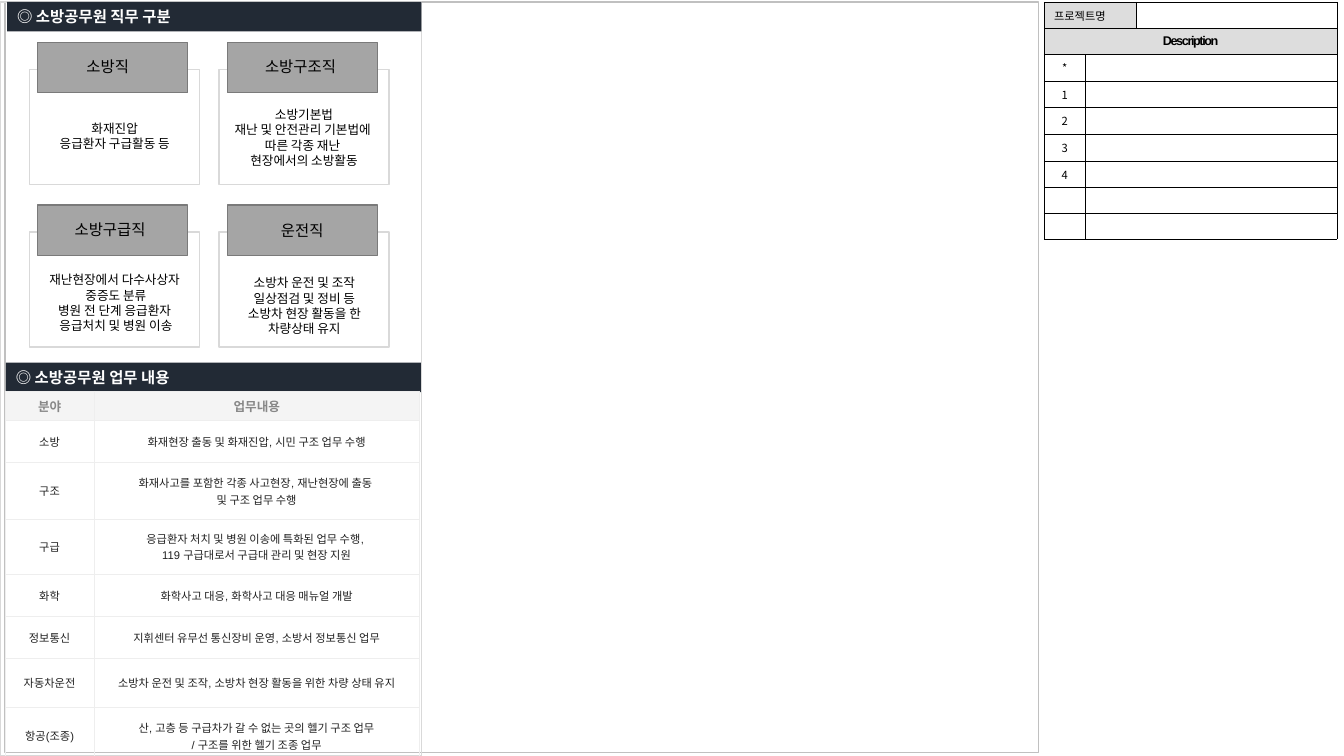
from lxml.etree import SubElement
from pptx import Presentation
from pptx.dml.color import RGBColor
from pptx.enum.shapes import MSO_SHAPE
from pptx.enum.text import MSO_ANCHOR, PP_ALIGN
from pptx.oxml.ns import qn
from pptx.util import Cm, Pt

KOREAN = "Noto Sans CJK KR"
LATIN = "Arial"

CARDS = [
    ("소방직", (1.93, 1.3), (0.53, 2.92, 4.72, 1.02),
     ["화재진압", "응급환자 구급활동 등"]),
    ("소방구조직", (6.43, 1.3), (4.98, 2.57, 5.36, 1.8),
     ["소방기본법", "재난 및 안전관리 기본법에 ", "따른 각종 재난 ", "현장에서의 소방활동"]),
    ("소방구급직", (1.63, 5.41), (0.33, 6.73, 5.18, 1.8),
     ["재난현장에서 다수사상자 ", "중증도 분류", "병원 전 단계 응급환자 ", "응급처치 및 병원 이송"]),
    ("운전직", (6.83, 5.44), (5.31, 6.81, 4.72, 1.8),
     ["소방차 운전 및 조작", "일상점검 및 정비 등", "소방차 현장 활동을 한", "차량상태 유지"]),
]

DUTIES = [
    ("소방", ["화재현장 출동 및 화재진압, 시민 구조 업무 수행"]),
    ("구조", ["화재사고를 포함한 각종 사고현장, 재난현장에 출동 ", "및 구조 업무 수행"]),
    ("구급", ["응급환자 처치 및 병원 이송에 특화된 업무 수행, ",
            "119 구급대로서 구급대 관리 및 현장 지원"]),
    ("화학", ["화학사고 대응, 화학사고 대응 매뉴얼 개발"]),
    ("정보통신", ["지휘센터 유무선 통신장비 운영, 소방서 정보통신 업무"]),
    ("자동차운전", ["소방차 운전 및 조작, 소방차 현장 활동을 위한 차량 상태 유지"]),
    ("항공(조종)", ["산, 고층 등 구급차가 갈 수 없는 곳의 헬기 구조 업무",
                "/ 구조를 위한 헬기 조종 업무"]),
]


def rgb(value):
    """Turn a hex string into a colour."""
    return RGBColor.from_string(value)


class Painter:
    """Draw styled elements on the current slide."""

    def __init__(self, page):
        """Keep the slide to draw on."""
        self.page = page

    def fill_text(self, frame, lines, size, color="000000", bold=False, align=PP_ALIGN.CENTER,
                  latin=KOREAN, leading=None, tracking=0):
        """Fill a text frame with formatted paragraphs."""
        frame.text = "\n".join(lines)
        for para in frame.paragraphs:
            para.alignment = align
            if leading:
                para.line_spacing = Pt(round(size * leading, 1))
            for span in para.runs:
                span.font.size = Pt(size)
                span.font.bold = bold
                span.font.name = latin
                span.font.color.rgb = rgb(color)
                properties = span._r.get_or_add_rPr()
                SubElement(properties, qn("a:ea"), typeface=KOREAN)
                if tracking:
                    properties.set("spc", str(tracking))
            if not para.runs:
                SubElement(para._p, qn("a:endParaRPr"), sz=str(size * 100))

    def box(self, left, top, width, height, fill=None, line=None):
        """Draw a rectangle."""
        shape = self.page.shapes.add_shape(
            MSO_SHAPE.RECTANGLE, Cm(left), Cm(top), Cm(width), Cm(height))
        shape.shadow.inherit = False
        if fill:
            shape.fill.solid()
            shape.fill.fore_color.rgb = rgb(fill)
        else:
            shape.fill.background()
        if line:
            shape.line.color.rgb = rgb(line)
            shape.line.width = Pt(1)
        else:
            shape.line.fill.background()
        return shape

    def bar(self, left, top, width, title):
        """Draw a dark section heading."""
        frame = self.box(left, top, width, 0.74, fill="222A35").text_frame
        frame.vertical_anchor = MSO_ANCHOR.MIDDLE
        self.fill_text(frame, [title], 11, "FFFFFF", True, PP_ALIGN.LEFT, leading=1.21)

    def text(self, left, top, width, height, lines, size, align):
        """Place a text box."""
        frame = self.page.shapes.add_textbox(
            Cm(left), Cm(top), Cm(width), Cm(height)).text_frame
        frame.word_wrap = True
        self.fill_text(frame, lines, size, align=align, leading=1.21)

    def table(self, left, top, widths, heights):
        """Add an unstyled table with the given grid."""
        table = self.page.shapes.add_table(
            len(heights), len(widths), Cm(left), Cm(top),
            Cm(sum(widths)), Cm(sum(heights))).table
        table.first_row = table.horz_banding = False
        for column, width in zip(table.columns, widths):
            column.width = Cm(width)
        for row, height in zip(table.rows, heights):
            row.height = Cm(height)
        return table

    def cell(self, cell, lines, size, border, weight, fill=None, inset=None, **style):
        """Format one table cell with its borders, fill and text."""
        cell.vertical_anchor = MSO_ANCHOR.MIDDLE
        if inset:
            cell.margin_left = cell.margin_right = Cm(inset[0])
            cell.margin_top = cell.margin_bottom = Cm(inset[1])
        properties = cell._tc.get_or_add_tcPr()
        for side in ("lnL", "lnR", "lnT", "lnB"):
            edge = SubElement(properties, qn(f"a:{side}"), w=str(Pt(weight)))
            SubElement(SubElement(edge, qn("a:solidFill")), qn("a:srgbClr"), val=border)
        if fill:
            cell.fill.solid()
            cell.fill.fore_color.rgb = rgb(fill)
        else:
            cell.fill.background()
        self.fill_text(cell.text_frame, lines, size, **style)


def draw_description(painter):
    """Draw the project and description table."""
    table = painter.table(26.31, 0.05, [1.04, 1.27, 5.08], [0.64] + [0.65] * 8)
    labels = ["프로젝트명", "Description", "*", "1", "2", "3", "4", "", ""]
    for index, label in enumerate(labels):
        heading = index < 2
        style = {"inset": None if heading else (0.1, 0.13)}
        if index == 0:
            style["align"] = PP_ALIGN.LEFT
        if index == 1:
            style.update(bold=True, latin=LATIN, tracking=-100)
        for column in range(3):
            fill = "DDDDDD" if heading and (column < 2 or index == 1) else "FFFFFF"
            painter.cell(table.cell(index, column), [label if column == 0 else ""],
                         9 if index == 1 else 8, "000000", 0.25, fill, **style)
        first, last = [(0, 1), (0, 2)][index] if heading else (1, 2)
        table.cell(index, first).merge(table.cell(index, last))


def draw_duties(painter):
    """Draw the table of duties by field."""
    heights = [0.74, 1.06, 1.42, 1.4, 1.06, 1.06, 1.22, 1.45]
    table = painter.table(0.13, 9.86, [2.24, 8.2], heights)
    for column, label in enumerate(["분야", "업무내용"]):
        painter.cell(table.cell(0, column), [label], 9, "EEEEEE", 0.75, "F4F4F4",
                     (0.18, 0.1), color="888888", bold=True, latin=LATIN)
    for index, (field, lines) in enumerate(DUTIES, 1):
        for column, content in enumerate([[field], lines]):
            painter.cell(table.cell(index, column), content, 8, "EEEEEE", 0.75,
                         inset=(0.18, 0.25), color="212121", latin=LATIN)


def main():
    """Build the slide and save it."""
    deck = Presentation()
    deck.slide_width, deck.slide_height = Cm(33.87), Cm(19.05)
    painter = Painter(deck.slides.add_slide(deck.slide_layouts[6]))
    painter.box(0.13, 0.05, 26.04, 18.92, line="C0C0C0")
    draw_description(painter)
    painter.box(0, 0.05, 10.62, 19, line="D9D9D9")
    painter.bar(0.18, 0.05, 10.44, "◎ 소방공무원 직무 구분")
    for index, (title, place, area, lines) in enumerate(CARDS):
        row, column = divmod(index, 2)
        left, top = 0.74 + 4.78 * column, 1.75 + 4.1 * row
        painter.box(left, top, 4.29, 2.9, line="D9D9D9")
        painter.box(left + 0.21, top - 0.68, 3.78, 1.27, "A5A5A5", "7A7A7A")
        painter.text(*place, 3.78, 0.74, [title], 11, PP_ALIGN.LEFT)
        painter.text(*area, lines, 9, PP_ALIGN.CENTER)
    painter.bar(0.15, 9.14, 10.46, "◎ 소방공무원 업무 내용")
    draw_duties(painter)
    deck.save("out.pptx")


if __name__ == "__main__":
    main()
